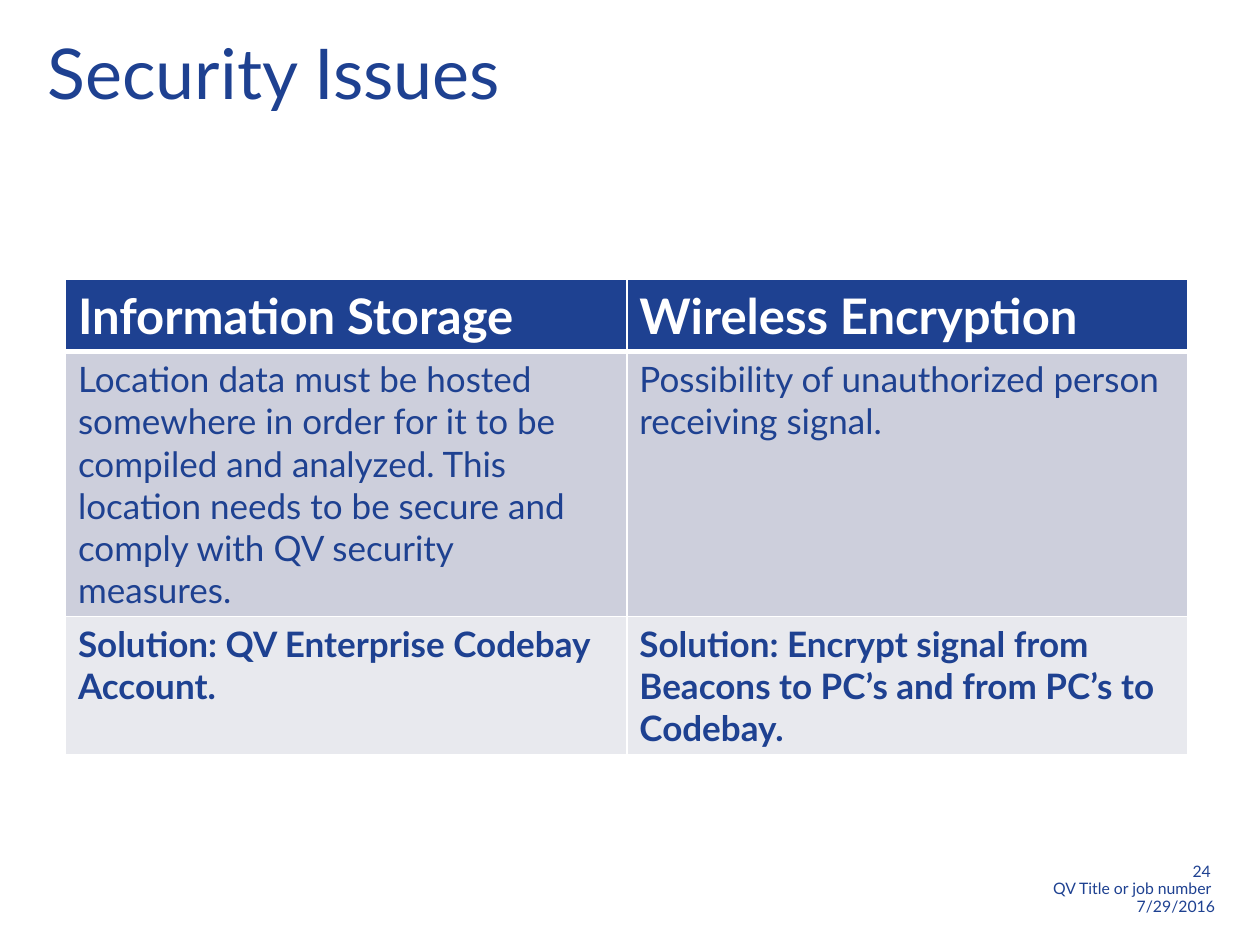
from pptx import Presentation
from pptx.dml.color import RGBColor
from pptx.enum.text import PP_ALIGN
from pptx.oxml.ns import qn
from pptx.util import Pt
from lxml import etree

LEFT, RIGHT = PP_ALIGN.LEFT, PP_ALIGN.RIGHT
FONT = "Lato"
COLORS = {
    "navy": "1E4191",
    "white": "FFFFFF",
    "issue": "CDCFDC",
    "solution": "E8E9EE",
}
ROWS = [
    {
        "height": 41.2, "fill": "navy", "color": "white", "size": 28, "bold": True,
        "texts": ["Information Storage", "Wireless Encryption"],
    },
    {
        "height": 127.2, "fill": "issue", "color": "navy", "size": 20, "bold": False,
        "texts": [
            "Location data must be hosted somewhere in order for it to be compiled "
            "and analyzed. This location needs to be secure and comply with QV "
            "security measures.",
            "Possibility of unauthorized person receiving signal.",
        ],
    },
    {
        "height": 79.2, "fill": "solution", "color": "navy", "size": 20, "bold": True,
        "texts": [
            "Solution: QV Enterprise Codebay Account.",
            "Solution: Encrypt signal from Beacons to PC’s and from PC’s to Codebay.",
        ],
    },
]


class SlideBuilder:
    """Holds the style and the current slide, and adds elements to it."""

    def __init__(self, slide, font, colors):
        self.slide = slide
        self.font = font
        self.colors = colors

    def color(self, name):
        return RGBColor.from_string(self.colors[name])

    def style(self, paragraph, size, color, bold=False):
        values = {"name": self.font, "size": Pt(size), "bold": bold}
        for run in paragraph.runs:
            for name, value in values.items():
                setattr(run.font, name, value)
            run.font.color.rgb = self.color(color)

    def text(self, box, lines, size, align=LEFT, margins=None):
        shape = self.slide.shapes.add_textbox(*map(Pt, box))
        frame = shape.text_frame
        frame.word_wrap = True
        for name, value in (margins or {}).items():
            setattr(frame, name, Pt(value))
        frame.text = "\n".join(lines)
        for paragraph in frame.paragraphs:
            paragraph.alignment = align
            paragraph.line_spacing = 0.9
            self.style(paragraph, size, "navy")

    def borders(self, cell, widths):
        properties = cell._tc.get_or_add_tcPr()
        for side, width in widths.items():
            line = etree.SubElement(properties, qn(f"a:ln{side}"), w=str(Pt(width)))
            fill = etree.SubElement(line, qn("a:solidFill"))
            etree.SubElement(fill, qn("a:srgbClr"), val=self.colors["white"])

    def table(self, left, top, width, rows):
        column_count = len(rows[0]["texts"])
        height = sum(row["height"] for row in rows)
        table = self.slide.shapes.add_table(
            len(rows), column_count, Pt(left), Pt(top), Pt(width), Pt(height)
        ).table
        for column in table.columns:
            column.width = Pt(width / column_count)
        for index, row in enumerate(rows):
            table.rows[index].height = Pt(row["height"])
            widths = {
                "L": 1, "R": 1,
                "T": 3 if index == 1 else 1,
                "B": 3 if index == 0 else 1,
            }
            for cell, text in zip(table.rows[index].cells, row["texts"]):
                self.borders(cell, widths)
                cell.fill.solid()
                cell.fill.fore_color.rgb = self.color(row["fill"])
                cell.text = text
                self.style(
                    cell.text_frame.paragraphs[0],
                    row["size"], row["color"], row["bold"],
                )


def main():
    presentation = Presentation()
    presentation.slide_width, presentation.slide_height = Pt(720), Pt(540)
    slide = presentation.slides.add_slide(presentation.slide_layouts[6])
    builder = SlideBuilder(slide, FONT, COLORS)
    no_margins = dict.fromkeys(
        ["margin_left", "margin_top", "margin_right", "margin_bottom"], 0
    )
    builder.text(
        (507.6, 490.3, 193.7, 36.7),
        ["24 ", "QV Title or job number ", "7/29/2016"], 9, RIGHT,
    )
    builder.text((27.4, 22.3, 666, 78.5), ["Security Issues"], 40, margins=no_margins)
    builder.table(37.4, 159.8, 641.6, ROWS)
    presentation.save("out.pptx")


if __name__ == "__main__":
    main()
